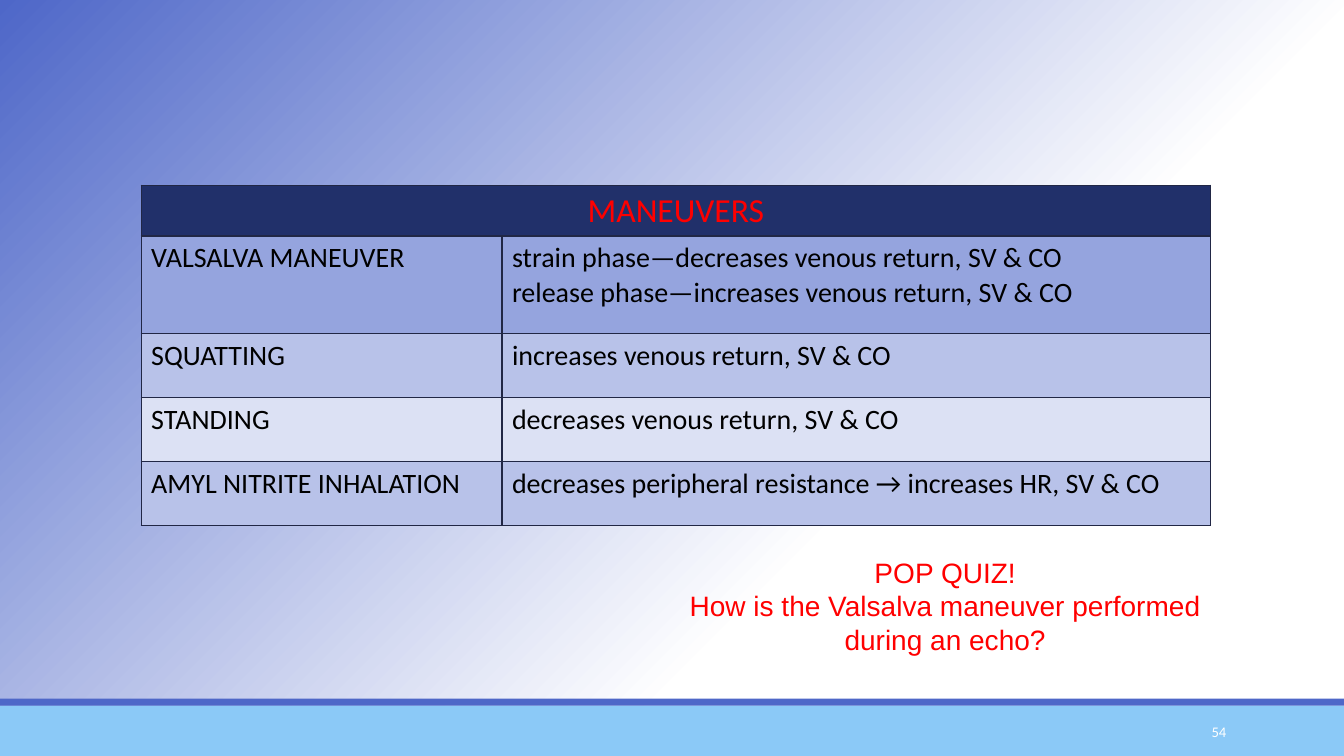
from copy import deepcopy

from pptx import Presentation
from pptx.dml.color import RGBColor as Rgb
from pptx.enum.shapes import MSO_SHAPE as Shape
from pptx.enum.text import MSO_ANCHOR as Anchor, PP_ALIGN as Align
from pptx.oxml import parse_xml
from pptx.oxml.ns import nsdecls, qn
from pptx.util import Inches, Pt

WHITE = Rgb(0xFF, 0xFF, 0xFF)
BLACK = Rgb(0x00, 0x00, 0x00)
RED = Rgb(0xFF, 0x00, 0x00)
BLUE = Rgb(0x4E, 0x67, 0xC8)
SKY = Rgb(0x8B, 0xC9, 0xF7)
NAVY = Rgb(0x21, 0x30, 0x6A)
EDGE = Rgb(0x21, 0x27, 0x45)
MID = Rgb(0x95, 0xA4, 0xDE)
SOFT = Rgb(0xB8, 0xC2, 0xE9)
PALE = Rgb(0xDC, 0xE1, 0xF4)

# Fill, row height in percent, name of the maneuver, lines on its effect
ROWS = [
    (MID, 12.86, "VALSALVA MANEUVER",
     ["strain phase—decreases venous return, SV & CO",
      "release phase—increases venous return, SV & CO"]),
    (SOFT, 8.47, "SQUATTING", ["increases venous return, SV & CO"]),
    (PALE, 8.47, "STANDING", ["decreases venous return, SV & CO"]),
    (SOFT, 8.47, "AMYL NITRITE INHALATION",
     ["decreases peripheral resistance → increases HR, SV & CO"]),
]
HEAD = 6.73
COLS = [26.85, 52.73]


class Deck:
    """Style and current slide; lengths are percent of the slide's size."""
    body = "Calibri"
    size = 20

    def __init__(self):
        self.prs = Presentation()
        self.prs.slide_width = Inches(13.33)
        self.prs.slide_height = Inches(7.5)
        self.slide = self.prs.slides.add_slide(self.prs.slide_layouts[6])

    def wide(self, part):
        return int(self.prs.slide_width * part / 100)

    def high(self, part):
        return int(self.prs.slide_height * part / 100)

    def place(self, x, y, w, h):
        return self.wide(x), self.high(y), self.wide(w), self.high(h)

    def back(self, stops, angle):
        fill = self.slide.background.fill
        fill.gradient()
        fill.gradient_angle = angle
        items = self.slide.element.find(".//" + qn("a:gsLst"))
        while len(items) < len(stops):
            items.append(deepcopy(items[0]))
        for stop, (spot, color) in zip(fill.gradient_stops, stops):
            stop.position = spot
            stop.color.rgb = color

    def bar(self, y, h, color):
        bar = self.slide.shapes.add_shape(
            Shape.RECTANGLE, *self.place(0, y, 100, h))
        bar.shadow.inherit = False
        bar.fill.solid()
        bar.fill.fore_color.rgb = color
        bar.line.fill.background()

    def put(self, frame, lines, color, align=Align.LEFT, size=size, face=body):
        for num, line in enumerate(lines):
            para = frame.add_paragraph() if num else frame.paragraphs[0]
            para.alignment = align
            run = para.add_run()
            run.text = line
            run.font.size = Pt(size)
            run.font.name = face
            run.font.color.rgb = color

    def text(self, box, lines, color, anchor=Anchor.TOP, **style):
        frame = self.slide.shapes.add_textbox(*self.place(*box)).text_frame
        frame.word_wrap = True
        frame.vertical_anchor = anchor
        self.put(frame, lines, color, **style)

    def table(self, x, y, cols, rows):
        table = self.slide.shapes.add_table(
            len(rows), len(cols),
            *self.place(x, y, sum(cols), sum(rows))).table
        table.first_row = table.horz_banding = False
        for col, part in zip(table.columns, cols):
            col.width = self.wide(part)
        for row, part in zip(table.rows, rows):
            row.height = self.high(part)
        return table

    def cell(self, cell, color):
        props = cell._tc.get_or_add_tcPr()
        for side in "LRTB":
            props.append(parse_xml(
                f'<a:ln{side} {nsdecls("a")} w="{Pt(1)}"><a:solidFill>'
                f'<a:srgbClr val="{EDGE}"/></a:solidFill></a:ln{side}>'))
        cell.fill.solid()
        cell.fill.fore_color.rgb = color
        return cell.text_frame


def main():
    deck = Deck()

    # Background and footer bars
    deck.back([(0, WHITE), (0.35, WHITE), (1, BLUE)], 135)
    deck.bar(93.33, 6.67, SKY)
    deck.bar(92.4, 0.93, BLUE)
    deck.text((81.25, 94.13, 10.73, 5.33), ["54"], WHITE, Anchor.MIDDLE,
              align=Align.RIGHT, size=10.5)

    # Table of maneuvers
    table = deck.table(10.5, 24.5, COLS, [HEAD] + [row[1] for row in ROWS])
    head, rest = table.cell(0, 0), table.cell(0, 1)
    head.merge(rest)
    deck.cell(rest, NAVY)
    deck.put(deck.cell(head, NAVY), ["MANEUVERS"], RED, Align.CENTER, 24)
    for num, (color, _, name, lines) in enumerate(ROWS, 1):
        for col, words in enumerate([[name], lines]):
            deck.put(deck.cell(table.cell(num, col), color), words, BLACK)

    # Quiz question
    deck.text((50.55, 72.8, 39.55, 10.27),
              ["POP QUIZ!",
               "How is the Valsalva maneuver performed during an echo?"],
              RED, align=Align.CENTER, face="Arial")

    deck.prs.save("out.pptx")


if __name__ == "__main__":
    main()
